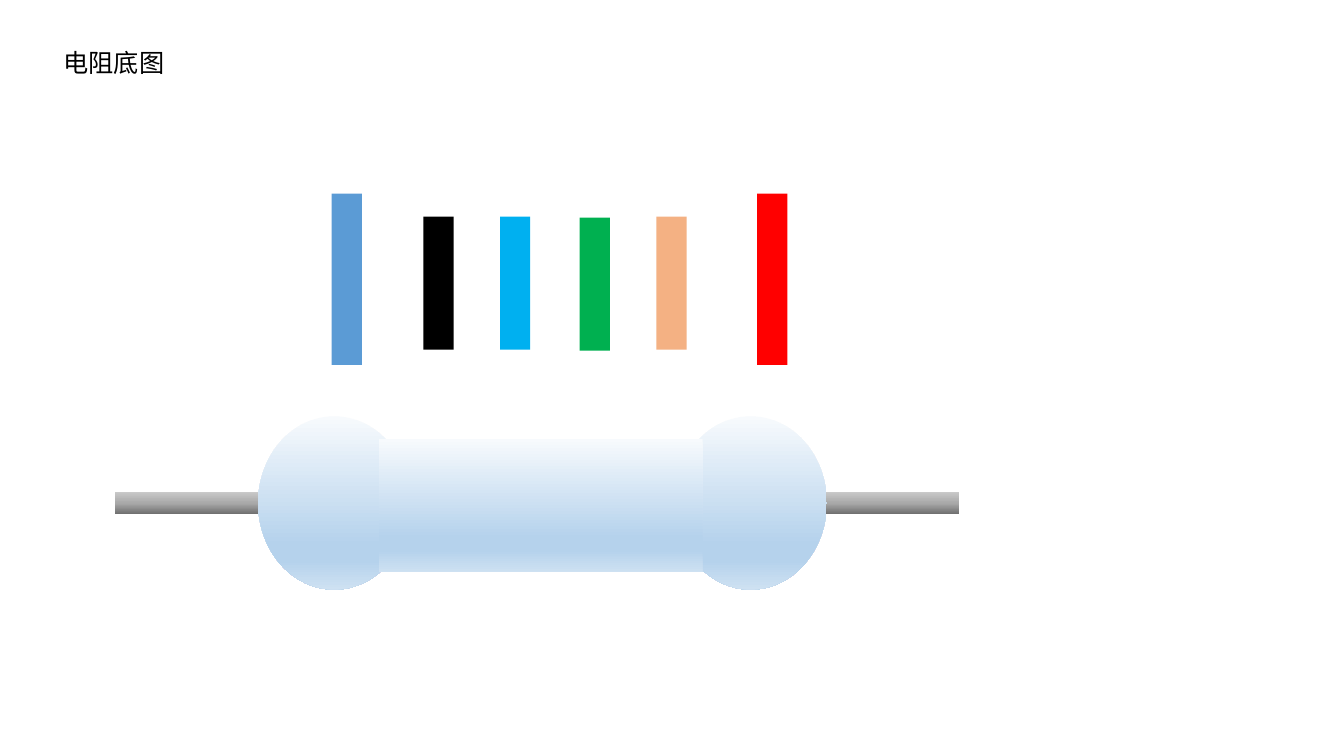
from lxml.etree import SubElement
from pptx import Presentation
from pptx.dml.color import RGBColor as RGB
from pptx.enum.shapes import MSO_SHAPE as SHAPE
from pptx.enum.text import MSO_ANCHOR as ANCHOR, MSO_AUTO_SIZE as AUTOSIZE, PP_ALIGN as ALIGN
from pptx.oxml.ns import qn
from pptx.util import Pt

PX = 9144  # EMU per px, 100 px to the inch

THEME = {
    "font": "Noto Sans CJK SC",
    "title_size": 18,
    "text": "000000",
    "lead": [(0, "6F6F6F"), (48, "A8A8A8"), (100, "C9C9C9")],
    "body": [(0, "F7FAFD"), (74, "B5D2EC"), (83, "B5D2EC"), (100, "CEE1F2")],
    "blue": "5B9BD5",
    "black": "000000",
    "sky": "00B0F0",
    "green": "00B050",
    "peach": "F4B183",
    "red": "FF0000",
}


def add_plain(kind, x, y, w, h):
    """Add a preset shape without outline or shadow."""
    s = slide.shapes.add_shape(kind, x * PX, y * PX, w * PX, h * PX)
    s.line.fill.background()
    s.shadow.inherit = False
    return s


def set_gradient(s, stops, angle):
    """Fill with (percent, colour) stops; angle is counter-clockwise."""
    s.fill.gradient()
    s.fill.gradient_angle = angle
    gs_lst = s._element.spPr.find(qn("a:gradFill")).find(qn("a:gsLst"))
    for gs in list(gs_lst):
        gs_lst.remove(gs)
    for pos, color in stops:
        gs = SubElement(gs_lst, qn("a:gs"), pos=str(pos * 1000))
        SubElement(gs, qn("a:srgbClr"), val=color)


prs = Presentation()
prs.slide_width, prs.slide_height = 1333 * PX, 750 * PX
slide = prs.slides.add_slide(prs.slide_layouts[5])

# Title
title = slide.shapes.title
title.left, title.top, title.width, title.height = 53 * PX, 42 * PX, 157 * PX, 40 * PX
tf = title.text_frame
tf.word_wrap = True
tf.auto_size = AUTOSIZE.NONE
tf.vertical_anchor = ANCHOR.TOP
p = tf.paragraphs[0]
p.alignment = ALIGN.LEFT
r = p.add_run()
r.text = "电阻底图"
r.font.size = Pt(THEME["title_size"])
r.font.name = THEME["font"]
r.font.color.rgb = RGB.from_string(THEME["text"])
SubElement(r.font._element, qn("a:ea"), typeface=THEME["font"])

# Resistor: two leads, two end caps, then the barrel in front
for x in (114, 782):
    lead = add_plain(SHAPE.RECTANGLE, x, 488, 169, 22)
    set_gradient(lead, THEME["lead"], 90)
for x in (669, 256):
    cap = add_plain(SHAPE.OVAL, x, 413, 151, 172)
    set_gradient(cap, THEME["body"], 270)
barrel = add_plain(SHAPE.RECTANGLE, 376, 436, 321, 132)
set_gradient(barrel, THEME["body"], 270)

# Colour bands: tall ones fit the caps, short ones the barrel
BAND_W, TALL, SHORT = 30, 170, 132
bands = [
    ("blue", 329, 192, TALL),
    ("black", 420, 215, SHORT),
    ("sky", 496, 215, SHORT),
    ("green", 575, 216, SHORT),
    ("peach", 651, 215, SHORT),
    ("red", 751, 192, TALL),
]
for color, x, y, h in bands:
    band = add_plain(SHAPE.RECTANGLE, x, y, BAND_W, h)
    band.fill.solid()
    band.fill.fore_color.rgb = RGB.from_string(THEME[color])

prs.save("out.pptx")
